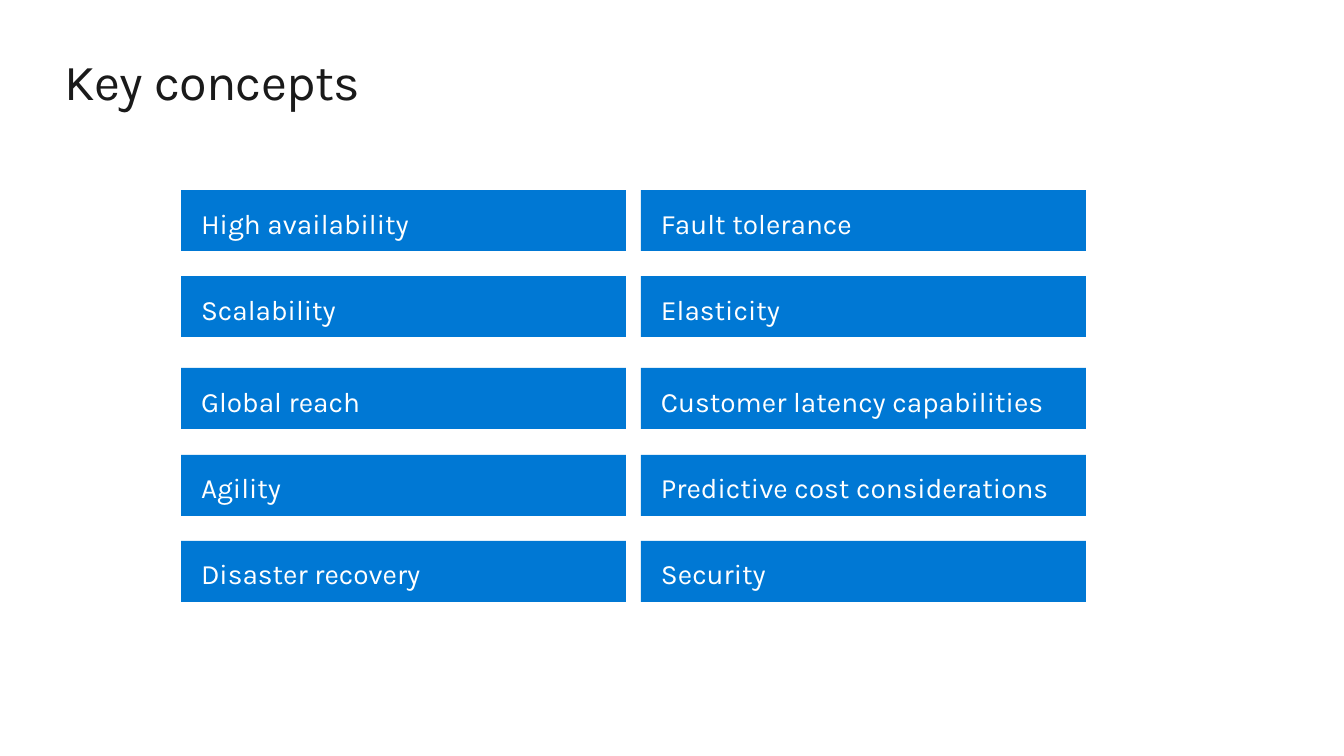
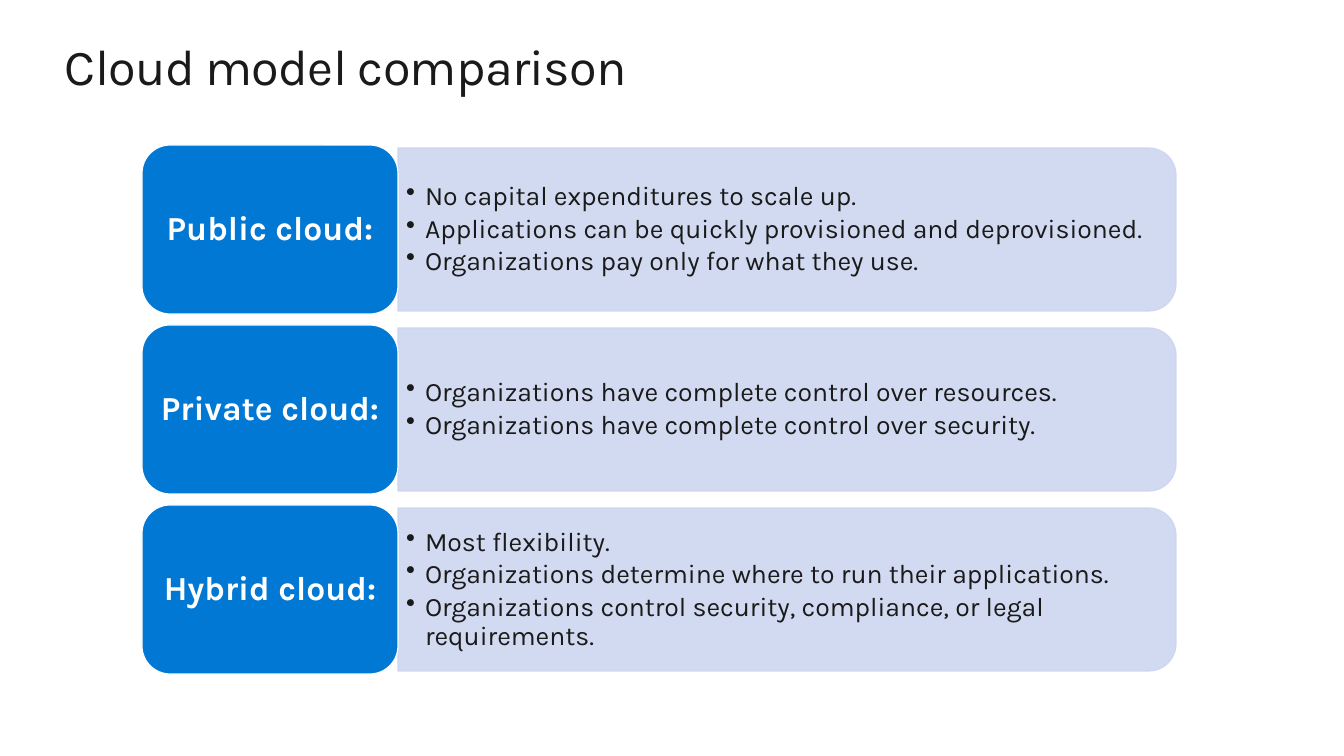
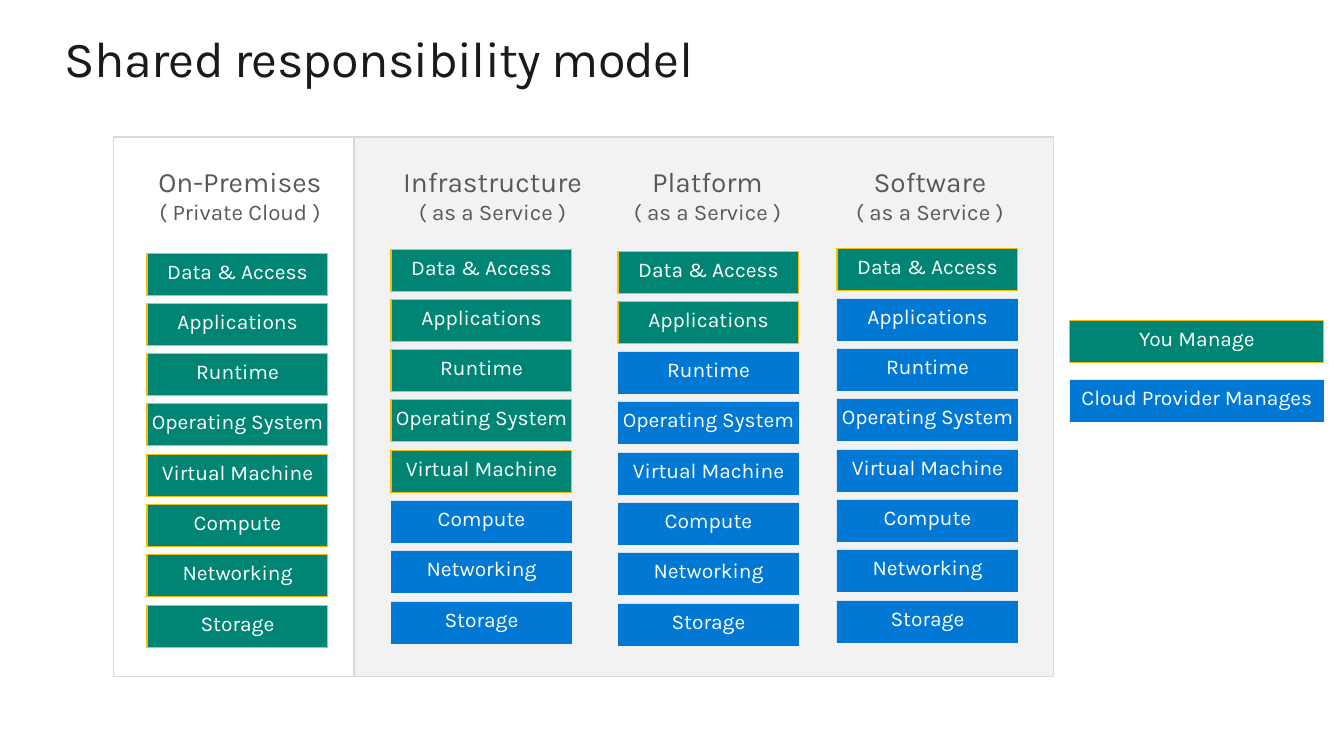
"""Builds three slides on cloud concepts, cloud models and shared responsibility."""
from dataclasses import dataclass

from lxml import etree
from pptx import Presentation
from pptx.dml.color import RGBColor
from pptx.enum.shapes import MSO_SHAPE
from pptx.enum.text import MSO_ANCHOR, PP_ALIGN
from pptx.oxml.ns import qn
from pptx.util import Emu, Pt

RECT = MSO_SHAPE.RECTANGLE
ROUND = MSO_SHAPE.ROUNDED_RECTANGLE
HALF = MSO_SHAPE.ROUND_2_SAME_RECTANGLE
TOP, MIDDLE = MSO_ANCHOR.TOP, MSO_ANCHOR.MIDDLE
LEFT, CENTER = PP_ALIGN.LEFT, PP_ALIGN.CENTER
SCALE = 914400 / 100.8


@dataclass(frozen=True)
class Theme:
    """Colours, font and type sizes of the deck."""
    font: str = "Karla"
    ink: str = "1A1A1A"
    white: str = "FFFFFF"
    blue: str = "0078D4"
    green: str = "008575"
    gold: str = "F9BC00"
    pale: str = "CCD6EF"
    panel: str = "F2F2F2"
    edge: str = "D9D9D9"
    gray: str = "595959"
    title: int = 36
    label: int = 24
    head: int = 20
    body: int = 19
    sub: int = 16
    tile: int = 15
    thin: float = 0.75
    rim: float = 0.85


THEME = Theme()


def px(*sizes):
    """Turn pixel lengths into EMU."""
    return [Emu(round(size * SCALE)) for size in sizes]


def frame(shape, pad=(0, 0), anchor=TOP):
    """Set the wrap, insets and anchor of a shape's text."""
    text = shape.text_frame
    text.word_wrap = True
    text.vertical_anchor = anchor
    text.margin_left, text.margin_top = text.margin_right, text.margin_bottom = px(*pad)
    return text


def bullet(para):
    """Give a paragraph a hanging bullet."""
    props = para._p.get_or_add_pPr()
    indent, = px(19)
    props.set("marL", str(indent))
    props.set("indent", str(-indent))
    etree.SubElement(props, qn("a:buChar")).set("char", "•")


def write(text, lines, color, align=LEFT, bold=False, dots=False, space=None):
    """Write (words, size) lines as paragraphs."""
    for i, (words, size) in enumerate(lines):
        para = text.add_paragraph() if i else text.paragraphs[0]
        para.add_run().text = words
        para.alignment = align
        if space:
            para.line_spacing = space
        if dots:
            para.space_after = Pt(2.8)
            bullet(para)
        para.font.name = THEME.font
        para.font.size = Pt(size)
        para.font.bold = bold
        para.font.color.rgb = RGBColor.from_string(color)


def block(slide, kind, box, fill=None, line=None, width=THEME.thin):
    """Draw a flat shape, filled and outlined only where asked."""
    shape = slide.shapes.add_shape(kind, *px(*box))
    shape.shadow.inherit = False
    if fill:
        shape.fill.solid()
        shape.fill.fore_color.rgb = RGBColor.from_string(fill)
    else:
        shape.fill.background()
    if line:
        shape.line.color.rgb = RGBColor.from_string(line)
        shape.line.width = Pt(width)
    else:
        shape.line.fill.background()
    return shape


def label(slide, box, lines, color, pad=(0, 0), anchor=TOP, **style):
    """Place a text box."""
    text = frame(slide.shapes.add_textbox(*px(*box)), pad, anchor)
    write(text, lines, color, **style)
    return text


def begin(deck, words, top):
    """Add a blank slide with its title."""
    slide = deck.slides.add_slide(deck.slide_layouts[6])
    text = label(slide, (65, top, 1215, 61), [(words, THEME.title)], THEME.ink)
    text.paragraphs[0].runs[0]._r.get_or_add_rPr().set("spc", "-50")
    return slide


def grid(slide, box, rows, tops):
    """Fill a box with two columns of concept bars."""
    left, top, width, height = box
    gap = 15
    wide = (width - gap) // 2
    for row, drop in zip(rows, tops):
        for col, words in enumerate(row):
            bar = block(slide, RECT, (left + col * (wide + gap), top + drop, wide, height), THEME.blue)
            write(frame(bar, (20, 16)), [(words, THEME.head)], THEME.white)


def model(slide, box, name, points):
    """Draw one cloud model: a name tag and a bar of bullet points."""
    left, top, width, height = box
    tag = 256
    start, wide, high = left + tag, width - tag, height - 6
    turn = (wide - high) / 2
    bar = block(slide, HALF, (start + turn, top + 3 - turn, high, wide), THEME.pale, THEME.pale, THEME.rim)
    bar.rotation = 90
    for color in bar._element.spPr.iter(qn("a:srgbClr")):
        etree.SubElement(color, qn("a:alpha")).set("val", "90000")
    label(slide, (start, top + 11, wide - 8, height - 22), [(words, THEME.body) for words in points],
          THEME.ink, (8, 4), MIDDLE, dots=True, space=0.9)
    card = block(slide, ROUND, (left, top, tag, height), THEME.blue, THEME.white, THEME.rim)
    write(frame(card, (8, 8), MIDDLE), [(name, THEME.label)], THEME.white, CENTER, bold=True, space=0.9)


def tile(slide, box, words, yours):
    """Draw one layer, coloured by who manages it."""
    fill, line = (THEME.green, THEME.gold) if yours else (THEME.blue, None)
    shape = block(slide, RECT, box, fill, line)
    write(frame(shape, (0, 5)), [(words, THEME.tile)], THEME.white, CENTER)


def stack(slide, box, layers, count):
    """Stack the layers in a box; the first count are yours."""
    left, top, width, height = box
    high = 42
    for i, words in enumerate(layers):
        drop = i * (height - high) // (len(layers) - 1)
        tile(slide, (left, top + drop, width, high), words, i < count)


def heading(slide, box, name, note):
    """Write a column's name over its note."""
    label(slide, box, [(name, THEME.head), (note, THEME.sub)], THEME.gray, align=CENTER)


CONCEPTS = [
    ("High availability", "Fault tolerance"),
    ("Scalability", "Elasticity"),
    ("Global reach", "Customer latency capabilities"),
    ("Agility", "Predictive cost considerations"),
    ("Disaster recovery", "Security"),
]
MODELS = [
    ("Public cloud:", ["No capital expenditures to scale up.",
                       "Applications can be quickly provisioned and deprovisioned.",
                       "Organizations pay only for what they use."]),
    ("Private cloud:", ["Organizations have complete control over resources.",
                        "Organizations have complete control over security."]),
    ("Hybrid cloud:", ["Most flexibility.",
                       "Organizations determine where to run their applications.",
                       "Organizations control security, compliance, or legal requirements."]),
]
LAYERS = ["Data & Access", "Applications", "Runtime", "Operating System",
          "Virtual Machine", "Compute", "Networking", "Storage"]
SERVICE = "( as a Service )"
COLUMNS = [
    ("On-Premises", "( Private Cloud )", 137, 206, 147, 254, 8),
    ("Infrastructure", SERVICE, 376, 233, 391, 250, 5),
    ("Platform", SERVICE, 597, 221, 618, 252, 2),
    ("Software", SERVICE, 818, 224, 837, 249, 1),
]


def concepts(deck):
    """Build the key concepts slide."""
    slide = begin(deck, "Key concepts", 50)
    grid(slide, (181, 190, 905, 61), CONCEPTS, (0, 86, 178, 265, 351))


def models(deck):
    """Build the cloud model slide."""
    slide = begin(deck, "Cloud model comparison", 35)
    for i, (name, points) in enumerate(MODELS):
        model(slide, (142, 145 + 180 * i, 1034, 169), name, points)


def duties(deck):
    """Build the shared responsibility slide."""
    slide = begin(deck, "Shared responsibility model", 27)
    block(slide, RECT, (354, 137, 700, 540), THEME.panel, THEME.edge)
    block(slide, RECT, (114, 137, 240, 540), None, THEME.edge)
    for name, note, start, wide, left, top, count in COLUMNS:
        heading(slide, (start, 164, wide, 71), name, note)
        stack(slide, (left, top, 181, 394), LAYERS, count)
    tile(slide, (1070, 321, 254, 42), "You Manage", True)
    tile(slide, (1070, 380, 254, 42), "Cloud Provider Manages", False)


def main():
    """Build and save the deck."""
    deck = Presentation()
    deck.slide_width, deck.slide_height = px(1344, 756)
    concepts(deck)
    models(deck)
    duties(deck)
    deck.save("out.pptx")


main()
